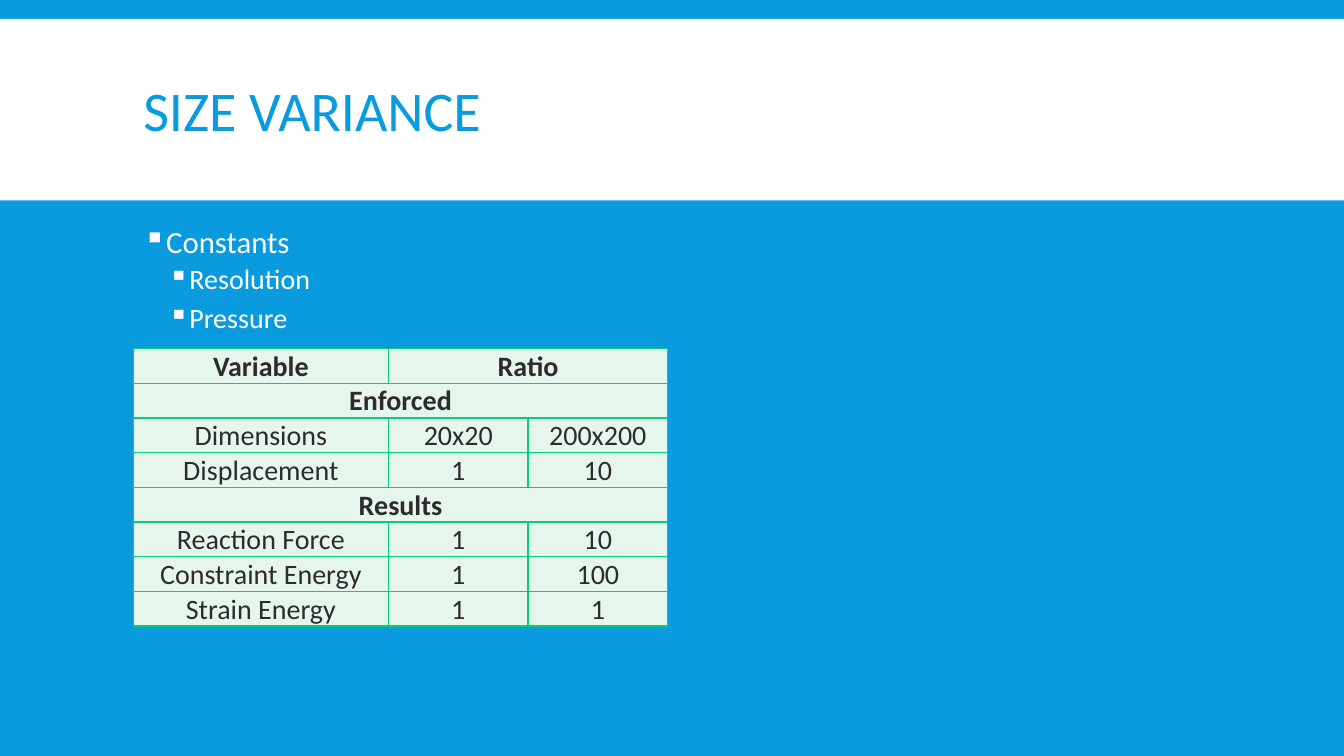
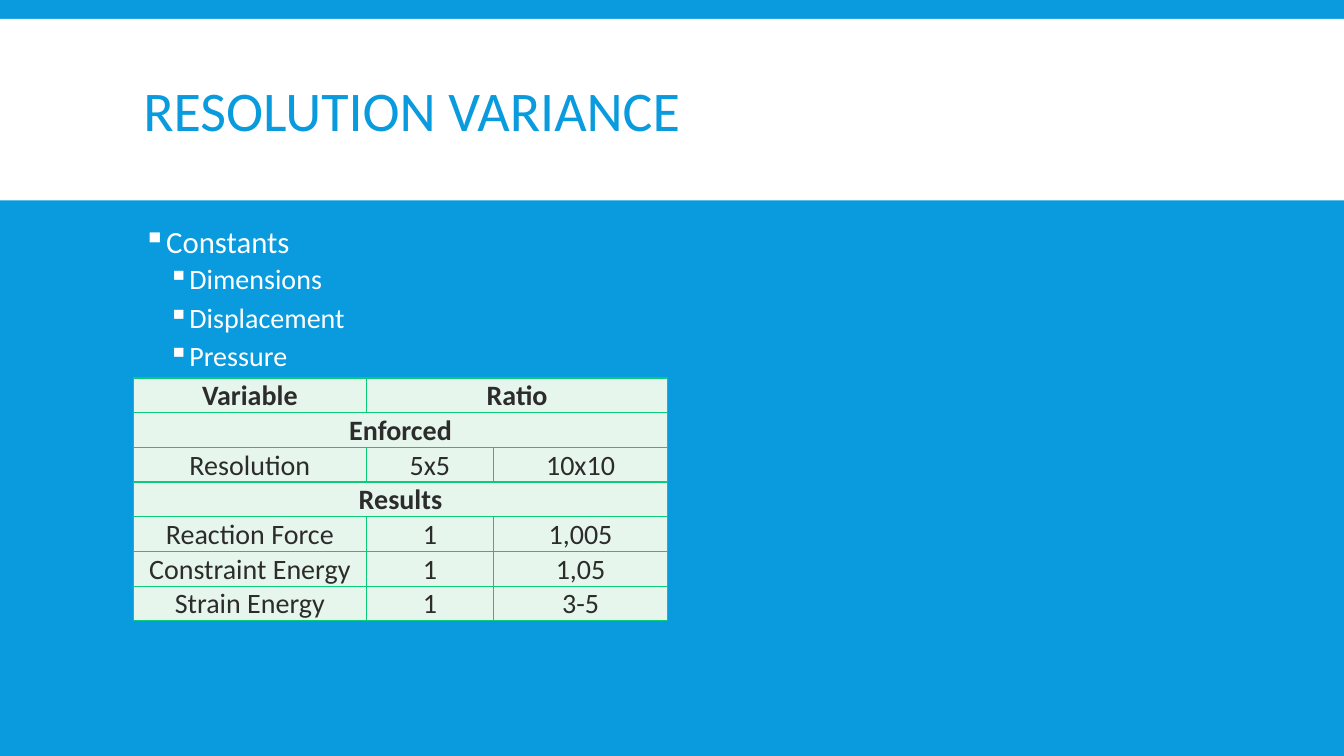
from lxml.etree import SubElement as Sub
from pptx import Presentation
from pptx.dml.color import RGBColor
from pptx.enum.shapes import MSO_SHAPE as Shape
from pptx.enum.text import MSO_ANCHOR as Anchor, PP_ALIGN as Align
from pptx.oxml import parse_xml
from pptx.oxml.ns import nsdecls, qn
from pptx.util import Pt

PX = 9525
BLUE, WHITE, INK = "099BDD", "FFFFFF", "2C2C2C"
MINT, GREEN = "E7F6EC", "08CC78"
FONT = "Calibri"
LEFT, WIDE = 127, 1027
ROW = 33


def px(*nums):
    return [n * PX for n in nums]


def paint(fill, color):
    fill.solid()
    fill.fore_color.rgb = RGBColor.from_string(color)


def style(para, size, color, bold=False):
    font = para.font
    font.name, font.size, font.bold = FONT, Pt(size), bold
    font.color.rgb = RGBColor.from_string(color)


def add_box(slide, top, height, anchor):
    frame = slide.shapes.add_textbox(*px(LEFT, top, WIDE, height)).text_frame
    frame.word_wrap = True
    frame.vertical_anchor = anchor
    return frame


def add_base(prs, title):
    slide = prs.slides.add_slide(prs.slide_layouts[6])
    paint(slide.background.fill, BLUE)
    band = slide.shapes.add_shape(Shape.RECTANGLE, *px(0, 18, 1280, 173))
    band.shadow.inherit = False
    paint(band.fill, WHITE)
    band.line.fill.background()
    para = add_box(slide, 30, 158, Anchor.MIDDLE).paragraphs[0]
    para.text = title
    para.line_spacing = 0.85
    style(para, 40, BLUE)
    return slide


def add_bullet(para, text, left, size):
    para.text = text
    para.line_spacing = 0.9
    props = para._p.get_or_add_pPr()
    props.set("marL", str(left * PX))
    props.set("indent", str(-19 * PX))
    color = Sub(props, qn("a:buClr"))
    Sub(color, qn("a:srgbClr"), val=WHITE)
    Sub(props, qn("a:buChar"), char="▪")
    style(para, size, WHITE)


def add_list(slide, head, items):
    frame = add_box(slide, 211, 442, Anchor.TOP)
    first = frame.paragraphs[0]
    add_bullet(first, head, 19, 22)
    first.space_after = Pt(2)
    for item in items:
        para = frame.add_paragraph()
        add_bullet(para, item, 43, 20)
        para.space_before, para.space_after = Pt(2), Pt(4)


def add_edges(cell):
    props = cell._tc.get_or_add_tcPr()
    for i, side in enumerate("LRTB"):
        props.insert(i, parse_xml(
            f'<a:ln{side} {nsdecls("a")} w="{Pt(1)}"><a:solidFill>'
            f'<a:srgbClr val="{GREEN}"/></a:solidFill></a:ln{side}>'))


def fill_cell(cell, text, anchor, bold):
    paint(cell.fill, MINT)
    add_edges(cell)
    cell.margin_left = cell.margin_right = cell.margin_top = PX
    cell.margin_bottom = 0
    cell.vertical_anchor = anchor
    para = cell.text_frame.paragraphs[0]
    para.text = text
    para.alignment = Align.CENTER
    style(para, 20, INK, bold)


def add_grid(slide, top, cols, rows, anchor):
    count = len(cols)
    size = px(LEFT, top, sum(cols), ROW * len(rows))
    table = slide.shapes.add_table(len(rows), count, *size).table
    table.first_row = table.horz_banding = False
    for col, width in zip(table.columns, cols):
        col.width = width * PX
    for r, row in enumerate(rows):
        short = len(row) < count
        for c in range(count):
            text = row[c] if c < len(row) else ""
            fill_cell(table.cell(r, c), text, anchor, short)
        if short:
            table.cell(r, len(row) - 1).merge(table.cell(r, count - 1))


def main():
    prs = Presentation()
    prs.slide_width, prs.slide_height = px(1280, 720)
    head = ["Variable", "Ratio"]

    slide = add_base(prs, "SIZE VARIANCE")
    add_list(slide, "Constants", ["Resolution", "Pressure"])
    add_grid(slide, 332, [243, 133, 133], [
        head,
        ["Enforced"],
        ["Dimensions", "20x20", "200x200"],
        ["Displacement", "1", "10"],
        ["Results"],
        ["Reaction Force", "1", "10"],
        ["Constraint Energy", "1", "100"],
        ["Strain Energy", "1", "1"],
    ], Anchor.BOTTOM)

    slide = add_base(prs, "RESOLUTION VARIANCE")
    add_list(slide, "Constants", ["Dimensions", "Displacement", "Pressure"])
    add_grid(slide, 360, [222, 121, 166], [
        head,
        ["Enforced"],
        ["Resolution", "5x5", "10x10"],
        ["Results"],
        ["Reaction Force", "1", "1,005"],
        ["Constraint Energy", "1", "1,05"],
        ["Strain Energy", "1", "3-5"],
    ], Anchor.MIDDLE)

    prs.save("out.pptx")


if __name__ == "__main__":
    main()
